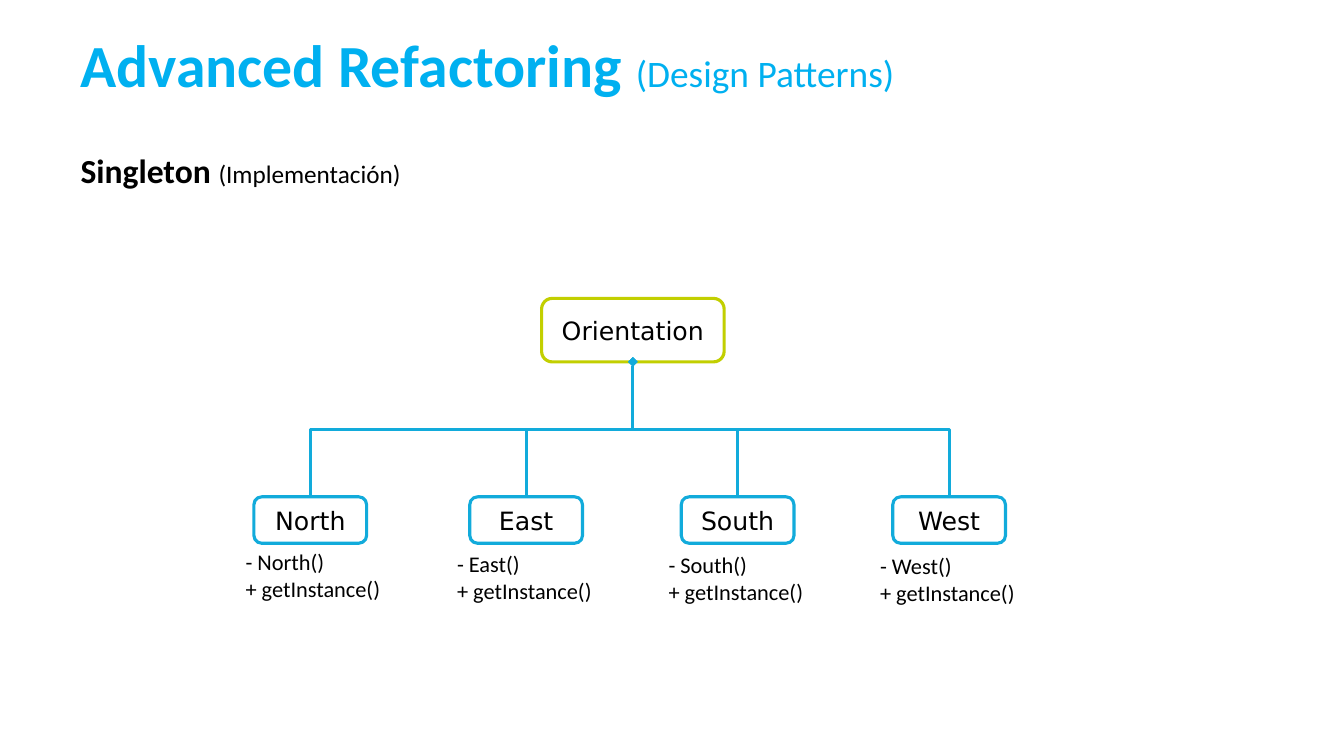
from lxml import etree
from pptx import Presentation
from pptx import util as u
from pptx.dml.color import RGBColor
from pptx.enum import shapes, text
from pptx.oxml.ns import qn

FONT, BOX_FONT = "Calibri", "DejaVu Sans"
BLUE, GREEN, SKY, BLACK, WHITE = "12ABDB", "C2CF00", "00B0F0", "000000", "FFFFFF"


def color(value):
    return RGBColor.from_string(value)


def cm(*lengths):
    return [u.Cm(length) for length in lengths]


def write(para, words, size, name=FONT, shade=BLACK, bold=False):
    span = para.add_run()
    span.text = words
    span.font.size = u.Pt(size)
    span.font.name = name
    span.font.bold = bold
    span.font.color.rgb = color(shade)


def set_insets(frame):
    frame.margin_left = frame.margin_right = u.Cm(0.33)
    frame.margin_top = frame.margin_bottom = u.Cm(0.18)


def add_title(page, left, top, width, height):
    title = page.shapes.title
    title.left, title.top, title.width, title.height = cm(left, top, width, height)
    frame = title.text_frame
    set_insets(frame)
    frame.word_wrap = True
    frame.auto_size = text.MSO_AUTO_SIZE.NONE
    frame.vertical_anchor = text.MSO_ANCHOR.MIDDLE
    para = frame.paragraphs[0]
    para.alignment = text.PP_ALIGN.LEFT
    para.line_spacing = 0.9
    write(para, "Advanced Refactoring ", 42.7, shade=SKY, bold=True)
    write(para, "(Design Patterns)", 26.7, shade=SKY)


def add_subtitle(page, left, top, width, height):
    frame = page.shapes.add_textbox(*cm(left, top, width, height)).text_frame
    set_insets(frame)
    frame.word_wrap = True
    para = frame.paragraphs[0]
    para.alignment = text.PP_ALIGN.JUSTIFY
    write(para, "Singleton ", 24, bold=True)
    write(para, "(Implementación)", 18)


def add_class(page, name, outline, left, top, width, height):
    box = page.shapes.add_shape(
        shapes.MSO_SHAPE.ROUNDED_RECTANGLE, *cm(left, top, width, height))
    box.shadow.inherit = False
    box.fill.solid()
    box.fill.fore_color.rgb = color(WHITE)
    box.line.color.rgb = color(outline)
    box.line.width = u.Pt(2.25)
    frame = box.text_frame
    frame.word_wrap = False
    frame.vertical_anchor = text.MSO_ANCHOR.MIDDLE
    para = frame.paragraphs[0]
    para.alignment = text.PP_ALIGN.CENTER
    write(para, name, 18, name=BOX_FONT)


def add_methods(page, name, left, top, width, height):
    frame = page.shapes.add_textbox(*cm(left, top, width, height)).text_frame
    frame.word_wrap = False
    frame.auto_size = text.MSO_AUTO_SIZE.SHAPE_TO_FIT_TEXT
    write(frame.paragraphs[0], f"- {name}()", 16)
    write(frame.add_paragraph(), "+ getInstance()", 16)


def add_link(page, start_x, start_y, end_x, end_y):
    """Elbow that leaves vertically: a sideways elbow turned by a quarter."""
    middle_x, middle_y = (start_x + end_x) / 2, (start_y + end_y) / 2
    side = 1 if start_x > end_x else -1
    reach = side * (start_y - end_y) / 2
    spread = abs(start_x - end_x) / 2
    link = page.shapes.add_connector(
        shapes.MSO_CONNECTOR.ELBOW,
        *cm(middle_x - reach, middle_y + spread, middle_x + reach, middle_y - spread))
    properties = link._element.spPr
    properties.find(qn("a:xfrm")).set("rot", str((270 if side > 0 else 90) * 60000))
    link.line.color.rgb = color(BLUE)
    link.line.width = u.Pt(2.25)
    etree.SubElement(link.line._get_or_add_ln(), qn("a:tailEnd"), type="diamond")
    etree.SubElement(properties, qn("a:effectLst"))


def add_diagram(page, left, top, width, height):
    root_width, root_height = 4.6, 1.6
    child_width, child_height = 2.84, 1.17
    label_pitch, label_width, label_height = 5.33, 3.91, 1.63
    child_top = top + 5
    center = left + width / 2
    add_class(page, "Orientation", GREEN,
              center - root_width / 2, top, root_width, root_height)

    # Each subclass: name, box offset from the left, label top
    children = [("North", 0.46, 13.69), ("East", 5.9, 13.74),
                ("South", 11.23, 13.77), ("West", 16.56, 13.79)]
    for index, (name, offset, label_top) in enumerate(children):
        child_left = left + offset
        add_class(page, name, BLUE, child_left, child_top, child_width, child_height)
        add_link(page, child_left + child_width / 2, child_top, center, top + root_height)
        add_methods(page, name, left + index * label_pitch, label_top,
                    label_width, label_height)


def main():
    deck = Presentation()
    deck.slide_width, deck.slide_height = cm(33.87, 19.05)
    page = deck.slides.add_slide(deck.slide_layouts[5])
    add_title(page, 1.7, 0.76, 30.48, 1.9)
    add_subtitle(page, 1.7, 3.61, 30.48, 2.46)
    add_diagram(page, 5.94, 7.52, 20.02, 7.9)
    deck.save("out.pptx")


if __name__ == "__main__":
    main()
